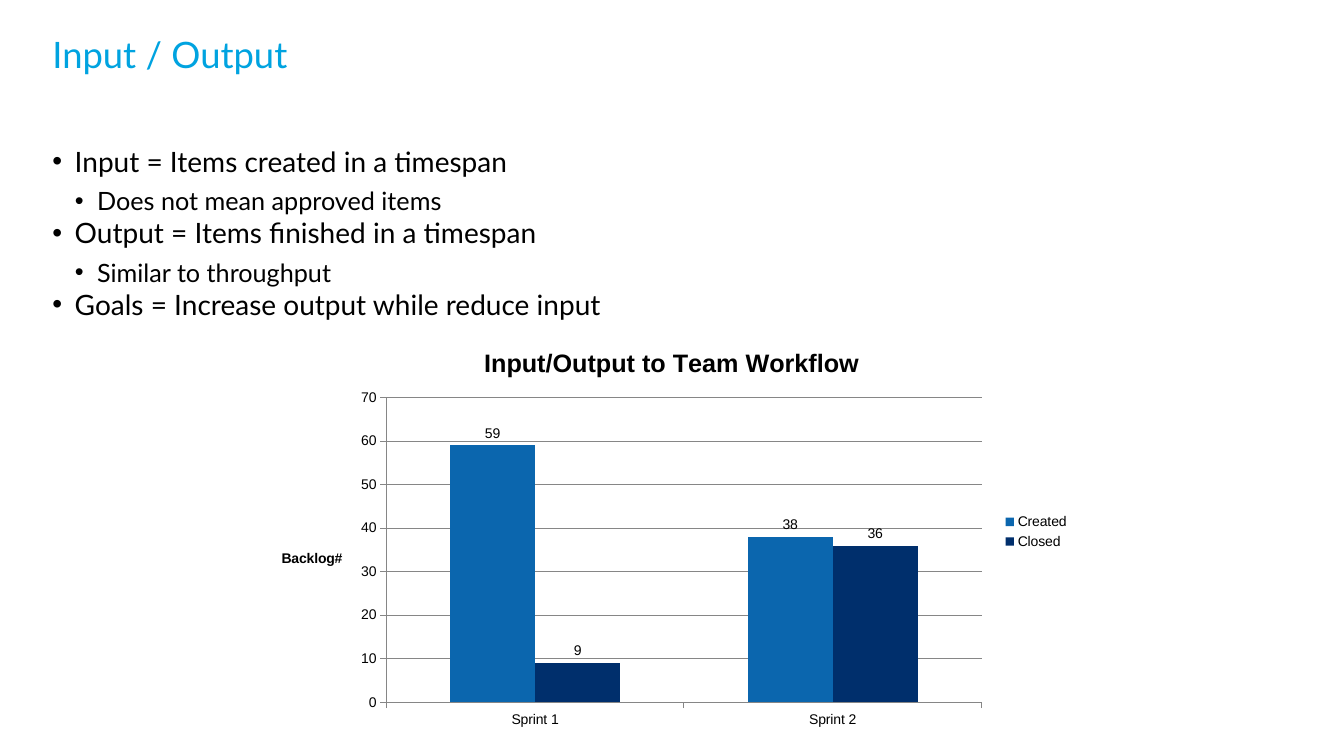
from lxml import etree
from pptx import Presentation
from pptx.chart.data import CategoryChartData
from pptx.dml.color import RGBColor
from pptx.enum.chart import XL_CHART_TYPE as ChartType
from pptx.enum.chart import XL_LABEL_POSITION as LabelPosition
from pptx.enum.chart import XL_LEGEND_POSITION as LegendPosition
from pptx.enum.chart import XL_TICK_MARK as TickMark
from pptx.oxml import parse_xml
from pptx.oxml.ns import nsdecls, qn
from pptx.util import Pt

TEXT_FONT, CHART_FONT = "Lato", "Arial"
BLACK, TITLE_BLUE, GRID_GRAY = "000000", "00A3E0", "868686"
LEFT, TEXT_WIDTH = 37.4, 885
INDENT = 16
SIZES = [20, 18]
SPACES_BEFORE = [0, 5.4]
BULLETS = [
    (0, "Input = Items created in a timespan"),
    (1, "Does not mean approved items"),
    (0, "Output = Items finished in a timespan"),
    (1, "Similar to throughput"),
    (0, "Goals = Increase output while reduce input"),
]
SPRINTS = ["Sprint 1", "Sprint 2"]
SERIES = [("Created", [59, 38], "0B66AE"), ("Closed", [9, 36], "002F6C")]
PLOT_AREA = {"x": 0.15, "y": 0.17, "w": 0.73, "h": 0.75}


def color(hex_value):
    return RGBColor.from_string(hex_value)


def style_font(font, name, size, hex_value, bold=False):
    font.name, font.size, font.bold = name, Pt(size), bold
    font.color.rgb = color(hex_value)


def add_text_frame(page, top, height):
    box = page.shapes.add_textbox(Pt(LEFT), Pt(top), Pt(TEXT_WIDTH), Pt(height))
    frame = box.text_frame
    frame.word_wrap = True
    frame.margin_left = frame.margin_right = 0
    frame.margin_top = frame.margin_bottom = 0
    return frame


def add_span(para, text, size, hex_value):
    span = para.add_run()
    span.text = text
    style_font(span.font, TEXT_FONT, size, hex_value)


def add_title(page, text):
    frame = add_text_frame(page, 23, 60)
    add_span(frame.paragraphs[0], text, 26, TITLE_BLUE)


def set_bullet(para, level):
    para.level = level
    properties = para._p.get_or_add_pPr()
    properties.set("marL", str(Pt(INDENT * (level + 1))))
    properties.set("indent", str(-Pt(INDENT)))
    etree.SubElement(properties, qn("a:buFont")).set("typeface", CHART_FONT)
    etree.SubElement(properties, qn("a:buChar")).set("char", "•")


def add_bullets(page, items):
    frame = add_text_frame(page, 103, 379)
    for index, (level, text) in enumerate(items):
        para = frame.add_paragraph() if index else frame.paragraphs[0]
        set_bullet(para, level)
        para.space_before = Pt(SPACES_BEFORE[level])
        add_span(para, text, SIZES[level], BLACK)


def add_heading(frame, text, size):
    span = frame.paragraphs[0].add_run()
    span.text = text
    style_font(span.font, CHART_FONT, size, BLACK, bold=True)


def place_plot_area(chart):
    """Fix the inner plot area at fractions of the chart's size."""
    area = chart._chartSpace.find(".//" + qn("c:plotArea"))
    for layout in area.findall(qn("c:layout")):
        area.remove(layout)
    modes = '<c:xMode val="edge"/><c:yMode val="edge"/>'
    sizes = "".join(f'<c:{key} val="{value}"/>' for key, value in PLOT_AREA.items())
    area.insert(0, parse_xml(
        f'<c:layout {nsdecls("c")}><c:manualLayout><c:layoutTarget val="inner"/>'
        f"{modes}{sizes}</c:manualLayout></c:layout>"))


def style_axes(chart):
    values = chart.value_axis
    values.minimum_scale, values.maximum_scale, values.major_unit = 0, 70, 10
    values.has_major_gridlines = True
    add_heading(values.axis_title.text_frame, "Backlog#", 10)
    body = values.axis_title.text_frame._txBody.find(qn("a:bodyPr"))
    body.set("rot", "0")
    body.set("vert", "horz")
    for axis in (values, chart.category_axis):
        axis.major_tick_mark = TickMark.OUTSIDE
        axis.minor_tick_mark = TickMark.NONE
    for part in (values, chart.category_axis, values.major_gridlines):
        part.format.line.color.rgb = color(GRID_GRAY)
        part.format.line.width = Pt(0.75)


def style_series(series, hex_value):
    series.format.fill.solid()
    series.format.fill.fore_color.rgb = color(hex_value)
    series.invert_if_negative = False
    labels = series.data_labels
    labels.show_value = True
    labels.position = LabelPosition.OUTSIDE_END
    style_font(labels.font, CHART_FONT, 10, BLACK)


def add_column_chart(page):
    data = CategoryChartData()
    data.categories = SPRINTS
    for name, values, _ in SERIES:
        data.add_series(name, values)
    chart = page.shapes.add_chart(
        ChartType.COLUMN_CLUSTERED, Pt(188.6), Pt(234.7), Pt(582.5), Pt(290.2), data).chart
    style_font(chart.font, CHART_FONT, 10, BLACK)
    chart.has_title = True
    add_heading(chart.chart_title.text_frame, "Input/Output to Team Workflow", 18)
    chart.has_legend = True
    chart.legend.position = LegendPosition.RIGHT
    chart.legend.include_in_layout = False
    plot = chart.plots[0]
    plot.gap_width, plot.vary_by_categories = 150, False
    for series, (_, _, hex_value) in zip(plot.series, SERIES):
        style_series(series, hex_value)
    style_axes(chart)
    place_plot_area(chart)


def main():
    deck = Presentation()
    deck.slide_width, deck.slide_height = Pt(960), Pt(540)
    page = deck.slides.add_slide(deck.slide_layouts[6])
    add_bullets(page, BULLETS)
    add_title(page, "Input / Output")
    add_column_chart(page)
    deck.save("out.pptx")


if __name__ == "__main__":
    main()
